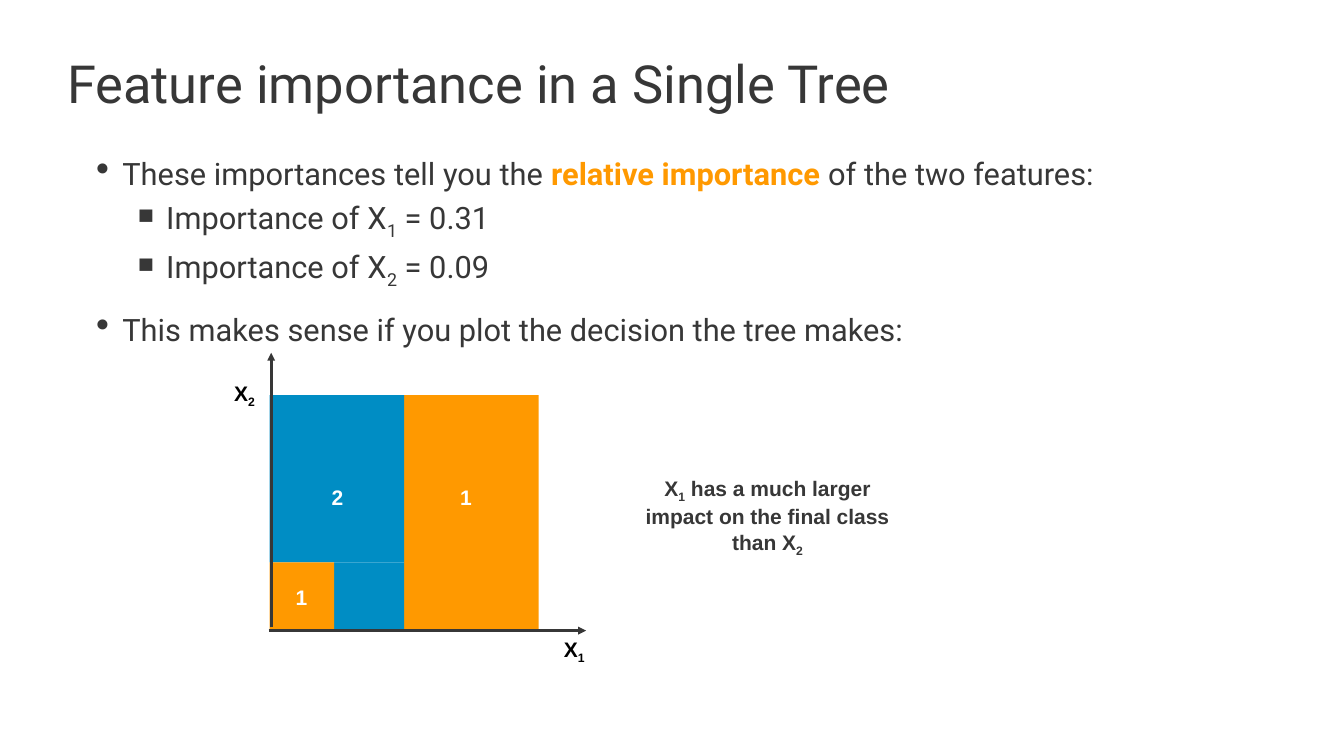
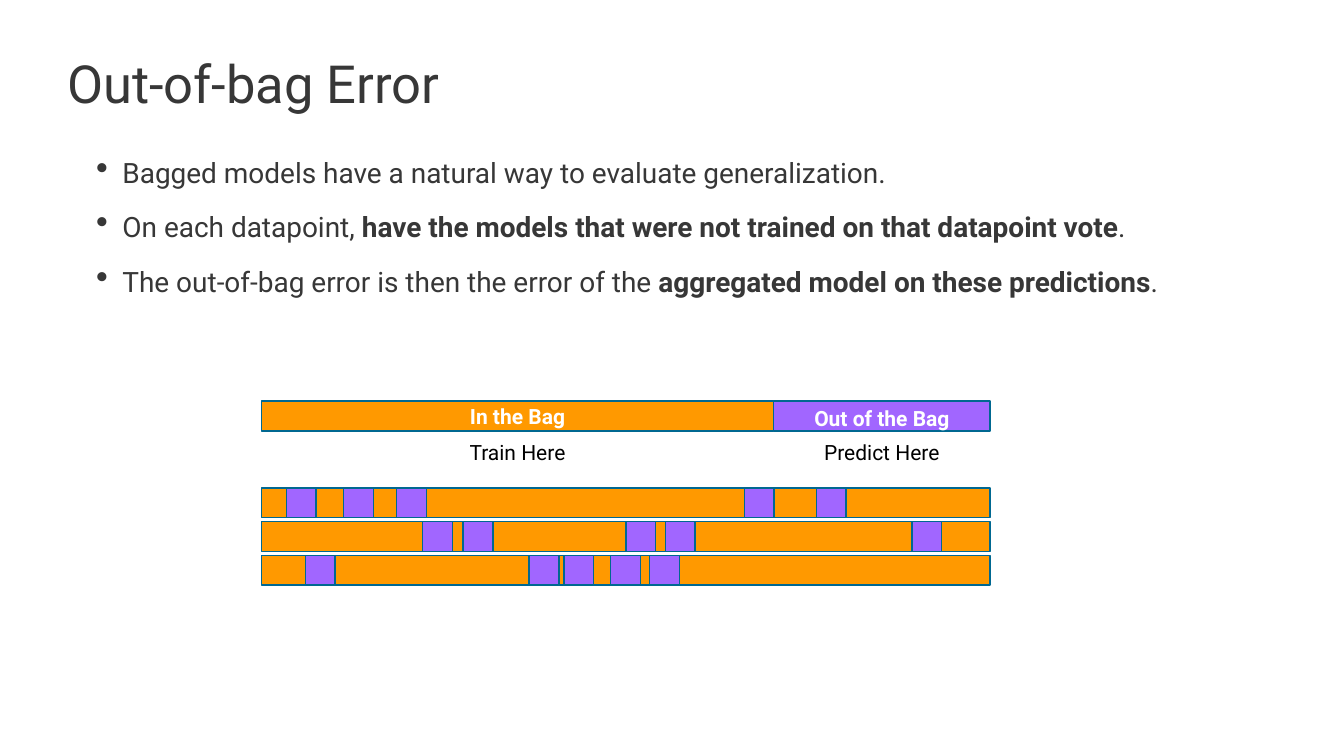
from lxml import etree
from pptx import Presentation
from pptx.dml.color import RGBColor
from pptx.enum import shapes, text
from pptx.oxml.ns import qn
from pptx.util import Cm, Pt

HUES = {
    "ink": "373737",
    "black": "000000",
    "white": "FFFFFF",
    "gold": "FF9900",
    "blue": "008DC4",
    "plum": "A166FF",
    "edge": "006891",
}
SANS = "Roboto"
PLOT = "Arial"
LEVELS = [("•", 1.32, 1.32, 30), ("▪", 3.53, 1.75, 10)]


def hue(name):
    return RGBColor.from_string(HUES[name])


def fill_runs(para, runs, size, font, tint, bold=False):
    for part in runs:
        words, mark = part if isinstance(part, tuple) else (part, "")
        run = para.add_run()
        run.text = words
        run.font.size = Pt(size)
        run.font.name = font
        run.font.bold = bold or mark in ("bold", "key")
        run.font.color.rgb = hue("gold" if mark == "key" else tint)
        if mark == "sub":
            run.font._element.set("baseline", "-25000")


def add_box(slide, left, top, width, height, wrap=True, inset=None):
    frame = slide.shapes.add_textbox(Cm(left), Cm(top), Cm(width), Cm(height)).text_frame
    frame.word_wrap = wrap
    if inset is not None:
        frame.margin_left = frame.margin_right = Cm(inset)
        frame.margin_top = frame.margin_bottom = Cm(inset)
    return frame


def add_title(slide, words):
    frame = add_box(slide, 3.23, 0.99, 62.97, 6.35, inset=0.15)
    frame.vertical_anchor = text.MSO_ANCHOR.MIDDLE
    fill_runs(frame.paragraphs[0], [words], 75, SANS, "ink")


def add_list(slide, items, size):
    frame = add_box(slide, 4.7, 7.67, 58.34, 20.47, inset=0.15)
    for index, (level, runs) in enumerate(items):
        para = frame.paragraphs[0] if index == 0 else frame.add_paragraph()
        sign, margin, hang, gap = LEVELS[level]
        para.level = level
        props = para._p.get_or_add_pPr()
        props.set("marL", str(Cm(margin)))
        props.set("indent", str(-Cm(hang)))
        etree.SubElement(props, qn("a:buSzPct")).set("val", "125000")
        etree.SubElement(props, qn("a:buChar")).set("char", sign)
        para.space_before = Pt(gap if index else 0)
        fill_runs(para, runs, size, SANS, "ink")


def add_label(slide, left, top, width, height, runs, font, tint, bold=True, wrap=True):
    para = add_box(slide, left, top, width, height, wrap).paragraphs[0]
    para.alignment = text.PP_ALIGN.CENTER
    fill_runs(para, runs, 30, font, tint, bold)


def add_rect(slide, left, top, width, height, tint, edge=None):
    rect = slide.shapes.add_shape(
        shapes.MSO_SHAPE.RECTANGLE, Cm(left), Cm(top), Cm(width), Cm(height))
    rect.shadow.inherit = False
    rect.fill.solid()
    rect.fill.fore_color.rgb = hue(tint)
    if edge:
        rect.line.color.rgb = hue(edge)
        rect.line.width = Pt(2)
    else:
        rect.line.fill.background()


def add_arrow(slide, *ends):
    arrow = slide.shapes.add_connector(
        shapes.MSO_CONNECTOR.STRAIGHT, *[Cm(end) for end in ends])
    arrow.line.color.rgb = hue("ink")
    arrow.line.width = Pt(3.75)
    etree.SubElement(arrow.line._get_or_add_ln(), qn("a:tailEnd")).set("type", "triangle")
    etree.SubElement(arrow._element.spPr, qn("a:effectLst"))


def draw_plot(slide):
    left, top, half, high = 13.59, 19.91, 6.78, 11.81
    notch, low = 3.25, 3.38
    split = top + high - low
    add_rect(slide, left + half, top, half, high, "gold")
    add_rect(slide, left, top, half, high - low, "blue")
    add_rect(slide, left + notch, split, half - notch, low, "blue")
    add_rect(slide, left, split, notch, low, "gold")
    add_arrow(slide, 13.54, 31.78, 29.54, 31.78)
    add_arrow(slide, 13.67, 31.62, 13.67, 17.78)
    for x, y, digit in [(28.04, 31.95, "1"), (11.43, 19.05, "2")]:
        add_label(slide, x, y, 1.8, 1.75, ["X", (digit, "sub")], PLOT, "black", wrap=False)
    for x, y, group in [(22.45, 24.31, "1"), (14.17, 29.31, "1"), (15.98, 24.31, "2")]:
        add_label(slide, x, y, 2.06, 1.75, [group], PLOT, "white")
    add_label(
        slide, 32.26, 23.83, 12.85, 4.11,
        ["X", ("1", "sub"), " has a much larger impact on the final class than X", ("2", "sub")],
        PLOT, "ink")


def draw_bags(slide):
    left, top, side = 13.18, 20.22, 1.5
    bag, out = 25.81, 10.92
    add_rect(slide, left, top, bag, side, "gold", "edge")
    add_rect(slide, left + bag, top, out, side, "plum", "edge")
    add_label(slide, 17.45, top, 17.27, 1.55, ["In the Bag"], SANS, "white")
    add_label(slide, left + bag, 20.29, out, 1.55, ["Out of the Bag"], SANS, "white")
    for x, words in [(21.92, "Train Here"), (40.28, "Predict Here")]:
        add_label(slide, x, 22.02, 8.33, 1.55, [words], SANS, "black", bold=False)
    rows = [
        (14.43, 17.32, 19.99, 37.52, 41.15),
        (21.31, 23.34, 31.55, 33.53, 45.97),
        (15.39, 26.67, 28.42, 30.78, 32.74),
    ]
    for index, spots in enumerate(rows):
        y = 24.59 + index * 1.7
        add_rect(slide, left, y, bag + out, side, "gold", "edge")
        for x in spots:
            add_rect(slide, x, y, side, side, "plum", "edge")


def add_page(deck, title, items, size):
    slide = deck.slides.add_slide(deck.slide_layouts[6])
    add_title(slide, title)
    add_list(slide, items, size)
    return slide


def main():
    deck = Presentation()
    deck.slide_width, deck.slide_height = Cm(67.74), Cm(38.1)
    tree = add_page(deck, "Feature importance in a Single Tree", [
        (0, ["These importances tell you the ", ("relative importance ", "key"),
             "of the two features:"]),
        (1, ["Importance of X", ("1", "sub"), " = 0.31"]),
        (1, ["Importance of X", ("2", "sub"), " = 0.09"]),
        (0, ["This makes sense if you plot the decision the tree makes:"]),
    ], 44)
    draw_plot(tree)
    error = add_page(deck, "Out-of-bag Error", [
        (0, ["Bagged models have a natural way to evaluate generalization."]),
        (0, ["On each datapoint, ",
             ("have the models that were not trained on that datapoint vote", "bold"), "."]),
        (0, ["The out-of-bag error is then the error of the ",
             ("aggregated model on these predictions", "bold"), "."]),
    ], 40)
    draw_bags(error)
    deck.save("out.pptx")


if __name__ == "__main__":
    main()
